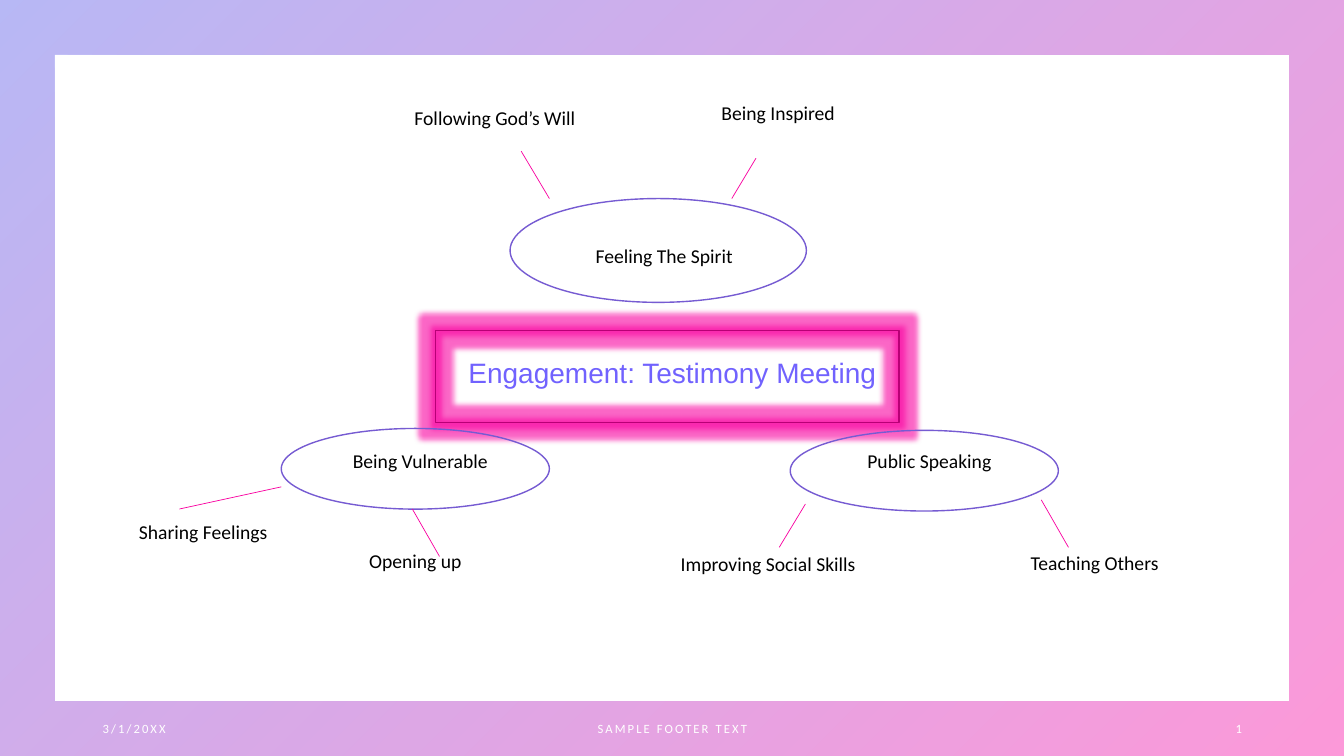
from dataclasses import dataclass

from lxml import etree
from pptx import Presentation, util as u
from pptx.dml.color import RGBColor
from pptx.enum import shapes, text
from pptx.oxml import ns


@dataclass
class Theme:
    violet: str = "4D4EE6"
    pink: str = "F900A0"
    title: str = "7162FE"
    oval: str = "765BD2"
    box: str = "B80076"
    ink: str = "000000"
    white: str = "FFFFFF"
    title_size: int = 20
    label_size: int = 14
    footer_size: int = 9
    heading: str = "Arial"
    body: str = "Calibri"


theme = Theme()
rgb = RGBColor.from_string
LEFT, CENTER, RIGHT = text.PP_ALIGN.LEFT, text.PP_ALIGN.CENTER, text.PP_ALIGN.RIGHT

prs = Presentation()
prs.slide_width, prs.slide_height = u.Inches(13.333), u.Inches(7.5)
slide = prs.slides.add_slide(prs.slide_layouts[6])


def place(*shares):
    """Turn percentages of width and height, in turn, into lengths."""
    sides = (prs.slide_width, prs.slide_height) * 2
    return [u.Emu(round(side * share / 100)) for side, share in zip(sides, shares)]


def add_text(words, box, size, color, font=theme.body, align=CENTER,
             anchor=text.MSO_ANCHOR.TOP):
    """Add a wrapping text box and return its paragraph."""
    tf = slide.shapes.add_textbox(*place(*box)).text_frame
    tf.word_wrap = True
    tf.vertical_anchor = anchor
    p = tf.paragraphs[0]
    p.text, p.alignment = words, align
    p.font.size, p.font.name = u.Pt(size), font
    p.font.color.rgb = rgb(color)
    return p


# Gradient frame around the white slide
frame = slide.shapes.add_shape(shapes.MSO_SHAPE.FRAME, *place(0, 0, 100, 100))
frame.adjustments[0] = 0.072
frame.shadow.inherit = False
frame.line.fill.background()
frame.fill.gradient()
frame.fill.gradient_angle = 315
for stop, color, position in zip(frame.fill.gradient_stops,
                                 (theme.violet, theme.pink), (0, 1)):
    stop.color.rgb, stop.position = rgb(color), position
for color in frame._element.spPr.iter(ns.qn("a:srgbClr")):
    etree.SubElement(color, ns.qn("a:alpha"), val="40000")

# Footer
for words, left, width, align in (
    ("3/1/20XX", 6.9, 22.5, LEFT),
    ("SAMPLE FOOTER TEXT", 33.15, 33.75, CENTER),
    ("1", 70.65, 22.5, RIGHT),
):
    p = add_text(words, (left, 93.73, width, 5.33), theme.footer_size, theme.white,
                 align=align, anchor=text.MSO_ANCHOR.MIDDLE)
    p.runs[0]._r.get_or_add_rPr().set("spc", "150")

# Title
p = add_text("Engagement: Testimony Meeting", (31.28, 45.2, 37.5, 6.93),
             theme.title_size, theme.title, theme.heading,
             anchor=text.MSO_ANCHOR.BOTTOM)
p.line_spacing = 0.9

# Glowing title box and the three topic ovals
RECT, OVAL = shapes.MSO_SHAPE.RECTANGLE, shapes.MSO_SHAPE.OVAL
for kind, box, color in (
    (RECT, (32.4, 43.73, 34.5, 12.13), theme.box),
    (OVAL, (37.95, 26.27, 22.05, 13.73), theme.oval),
    (OVAL, (20.93, 56.67, 19.95, 10.67), theme.oval),
    (OVAL, (58.8, 56.93, 19.95, 10.67), theme.oval),
):
    sp = slide.shapes.add_shape(kind, *place(*box))
    sp.shadow.inherit = False
    sp.fill.background()
    sp.line.color.rgb, sp.line.width = rgb(color), u.Pt(1)
    if kind == RECT:
        effects = sp._element.spPr.find(ns.qn("a:effectLst"))
        glow = etree.SubElement(effects, ns.qn("a:glow"), rad=str(u.Pt(8)))
        color = etree.SubElement(glow, ns.qn("a:srgbClr"), val=theme.pink)
        etree.SubElement(color, ns.qn("a:alpha"), val="60000")

# Topics and their branches
for words, left, top, width in (
    ("Feeling The Spirit", 34.65, 31.33, 29.55),
    ("Being Vulnerable", 20.93, 58.4, 20.7),
    ("Public Speaking", 59.18, 58.4, 19.95),
    ("Being Inspired", 43.13, 12.4, 29.55),
    ("Teaching Others", 72.6, 71.87, 17.7),
    ("Improving Social Skills", 45.98, 72, 22.35),
    ("Following God’s Will", 22.05, 13.07, 29.55),
    ("Opening up", 16.13, 71.6, 29.55),
    ("Sharing Feelings", 2.48, 67.87, 25.28),
):
    p = add_text(words, (left, top, width, 10.27), theme.label_size, theme.ink)
    p.line_spacing, p.space_before = 1.1, u.Pt(10)

for ends in (
    (38.78, 20, 40.88, 26.27),
    (56.25, 20.93, 54.45, 26.27),
    (13.35, 67.33, 20.93, 64.4),
    (30.68, 67.33, 32.7, 73.6),
    (59.93, 66.67, 57.98, 72.4),
    (77.48, 66.13, 79.5, 72.4),
):
    branch = slide.shapes.add_connector(shapes.MSO_CONNECTOR.STRAIGHT, *place(*ends))
    branch.line.color.rgb, branch.line.width = rgb(theme.pink), u.Pt(0.5)
    etree.SubElement(branch._element.spPr, ns.qn("a:effectLst"))

prs.save("out.pptx")
